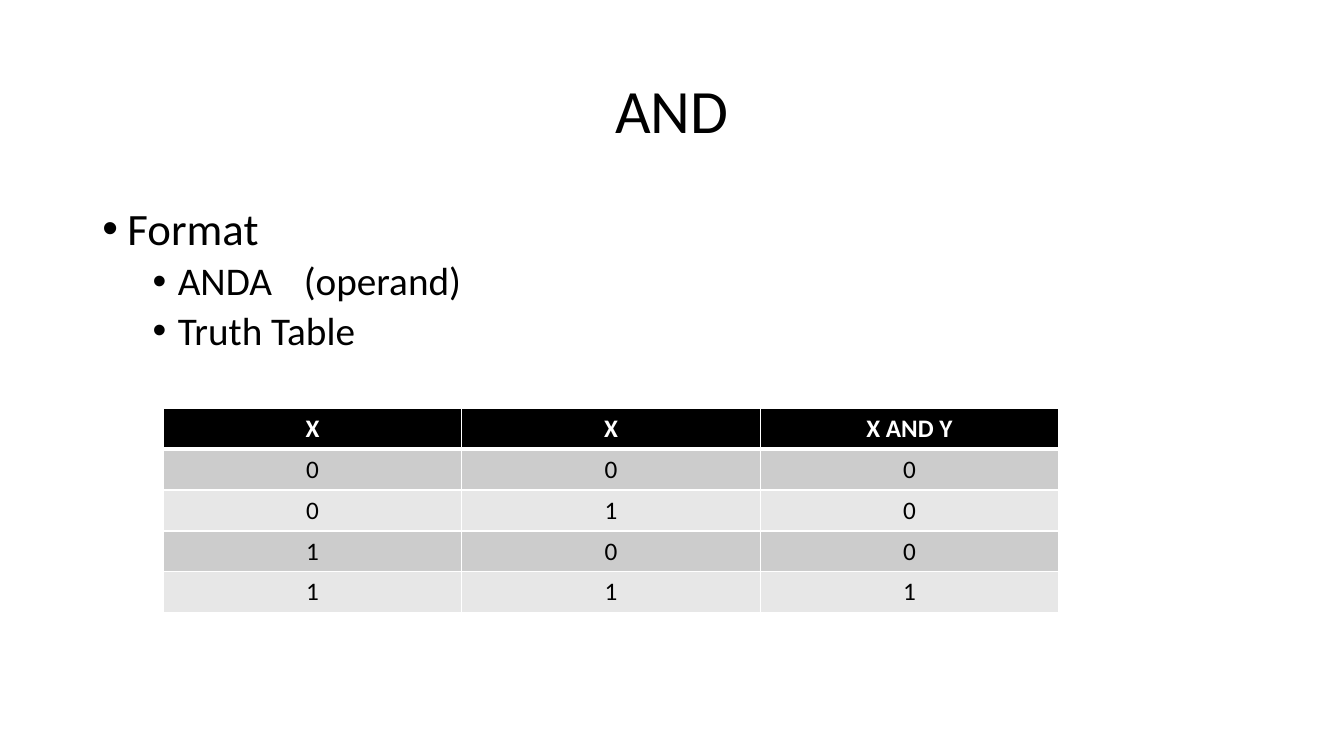
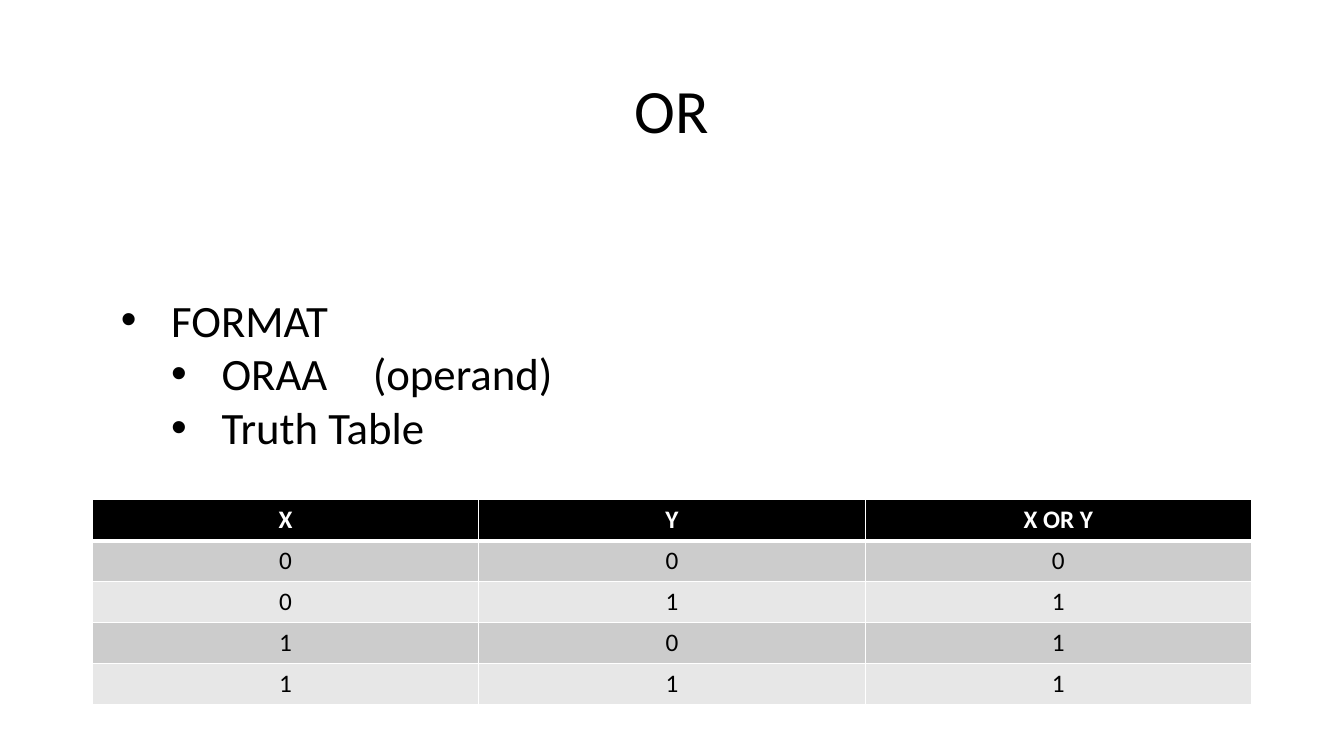
import itertools
from dataclasses import dataclass

import lxml.etree
import pptx
import pptx.dml.color
import pptx.enum.text
import pptx.oxml
import pptx.oxml.ns
import pptx.util


@dataclass(frozen=True)
class Theme:
    font: str = "Calibri"
    ink: str = "000000"
    paper: str = "FFFFFF"
    bands: tuple = ("CCCCCC", "E7E7E7")
    title_size: int = 44
    lead_size: int = 32
    detail_size: int = 28
    table_size: int = 18
    thin_line: int = 1
    thick_line: int = 3


class Deck:
    columns = 160
    rows = 90
    cell = pptx.util.Inches(1) // 12

    def __init__(self, theme):
        self.theme = theme
        self.presentation = pptx.Presentation()
        self.presentation.slide_width = self.columns * self.cell
        self.presentation.slide_height = self.rows * self.cell
        self.slide = None

    def grid(self, *lengths):
        return [round(length * self.cell) for length in lengths]

    def color(self, value):
        return pptx.dml.color.RGBColor.from_string(value)

    def apply(self, target, values):
        for name, value in values.items():
            setattr(target, name, value)

    def add_text(self, paragraph, text, size, color=None, bold=False, **layout):
        self.apply(paragraph, layout)
        run = paragraph.add_run()
        run.text = text
        self.apply(run.font, {"name": self.theme.font, "size": pptx.util.Pt(size), "bold": bold})
        run.font.color.rgb = self.color(color or self.theme.ink)

    def text_frame(self, place, **layout):
        frame = self.slide.shapes.add_textbox(*self.grid(*place)).text_frame
        self.apply(frame, {"word_wrap": True, **layout})
        return frame

    def add_slide(self, title):
        self.slide = self.presentation.slides.add_slide(self.presentation.slide_layouts[6])
        frame = self.text_frame((11, 4.8, 138, 17.4), vertical_anchor=pptx.enum.text.MSO_ANCHOR.MIDDLE)
        self.add_text(
            frame.paragraphs[0],
            title,
            self.theme.title_size,
            alignment=pptx.enum.text.PP_ALIGN.CENTER,
            line_spacing=0.9,
        )

    def bullets(self, place, items, sizes, hanging, step, line_spacing=1.0, gaps=(0, 0), wrap=True):
        frame = self.text_frame(place, word_wrap=wrap)
        for index, (level, text) in enumerate(items):
            paragraph = frame.add_paragraph() if index else frame.paragraphs[0]
            self.add_text(
                paragraph,
                text,
                sizes[level],
                level=level,
                line_spacing=line_spacing,
                space_before=pptx.util.Pt(gaps[level]),
            )
            properties = paragraph._p.get_or_add_pPr()
            margin, indent = self.grid(hanging + level * step, -hanging)
            properties.set("marL", str(margin))
            properties.set("indent", str(indent))
            font = lxml.etree.SubElement(properties, pptx.oxml.ns.qn("a:buFont"))
            font.set("typeface", "Arial")
            bullet = lxml.etree.SubElement(properties, pptx.oxml.ns.qn("a:buChar"))
            bullet.set("char", "•")

    def borders(self, cell, row):
        thin, thick = self.theme.thin_line, self.theme.thick_line
        widths = {
            "L": thin,
            "R": thin,
            "T": thick if row == 1 else thin,
            "B": thick if row == 0 else thin,
        }
        properties = cell._tc.get_or_add_tcPr()
        for side, width in widths.items():
            properties.append(pptx.oxml.parse_xml(
                f'<a:ln{side} {pptx.oxml.ns.nsdecls("a")} w="{pptx.util.Pt(width)}">'
                f'<a:solidFill><a:srgbClr val="{self.theme.paper}"/></a:solidFill></a:ln{side}>'
            ))

    def truth_table(self, place, header, operation):
        inputs = itertools.product((0, 1), repeat=2)
        content = [header, *((x, y, operation(x, y)) for x, y in inputs)]
        shape = self.slide.shapes.add_table(len(content), len(header), *self.grid(*place))
        for row, values in enumerate(content):
            for column, value in enumerate(values):
                cell = shape.table.cell(row, column)
                is_header = row == 0
                self.borders(cell, row)
                cell.fill.solid()
                fill = self.theme.ink if is_header else self.theme.bands[(row - 1) % 2]
                cell.fill.fore_color.rgb = self.color(fill)
                self.add_text(
                    cell.text_frame.paragraphs[0],
                    str(value),
                    self.theme.table_size,
                    self.theme.paper if is_header else self.theme.ink,
                    is_header,
                    alignment=pptx.enum.text.PP_ALIGN.CENTER,
                )


def main():
    theme = Theme()
    deck = Deck(theme)
    table_height = 24.36

    deck.add_slide("AND")
    deck.bullets(
        (11, 24, 138, 57),
        [(0, "Format"), (1, "ANDA\t(operand)"), (1, "Truth Table")],
        sizes=(theme.lead_size, theme.detail_size),
        hanging=3,
        step=6,
        line_spacing=0.9,
        gaps=(10, 5),
    )
    deck.truth_table((19.44, 48.6, 106.6, table_height), ("X", "X", "X AND Y"), lambda x, y: x & y)

    deck.add_slide("OR")
    deck.truth_table((11, 59.5, 138, table_height), ("X", "Y", "X OR Y"), lambda x, y: x | y)
    deck.bullets(
        (13.2, 34.2, 60.5, 20.6),
        [(0, "FORMAT"), (1, "ORAA\t(operand)"), (1, "Truth Table")],
        sizes=(theme.lead_size, theme.lead_size),
        hanging=6,
        step=6,
        wrap=False,
    )

    deck.presentation.save("out.pptx")


if __name__ == "__main__":
    main()
